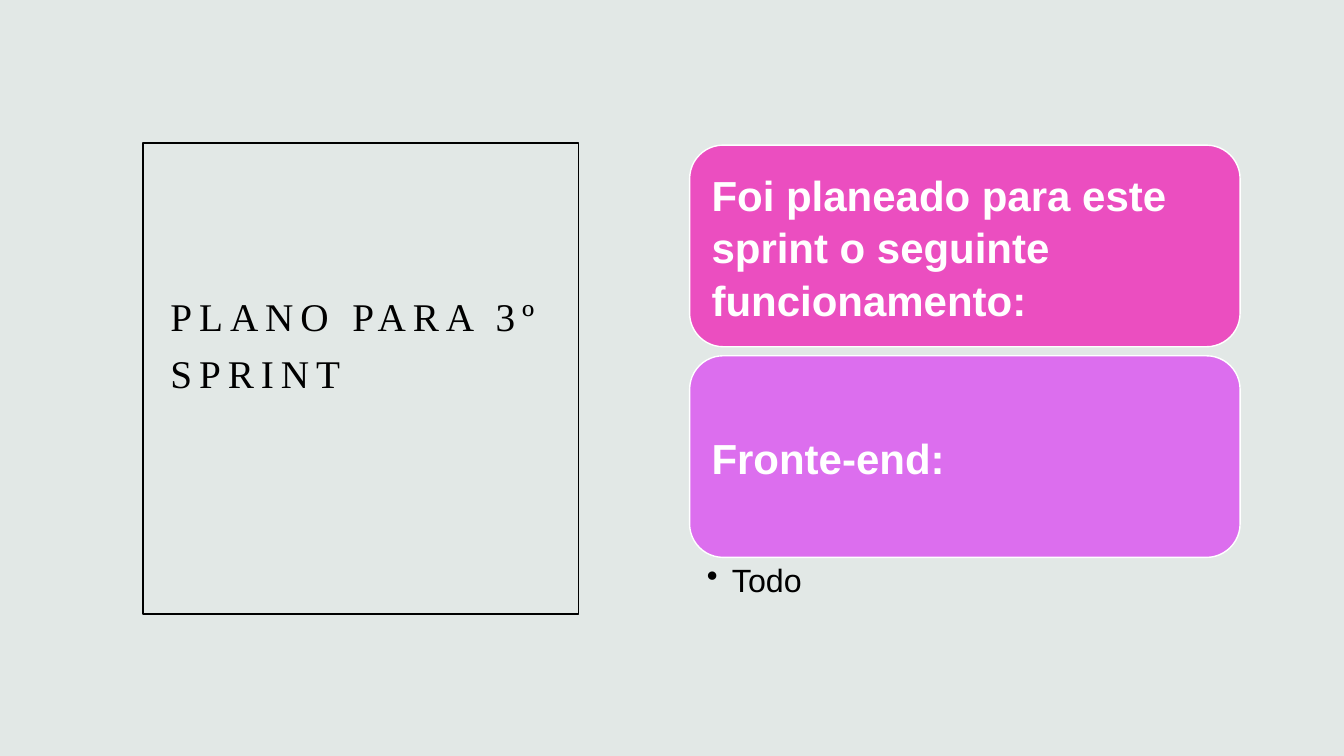
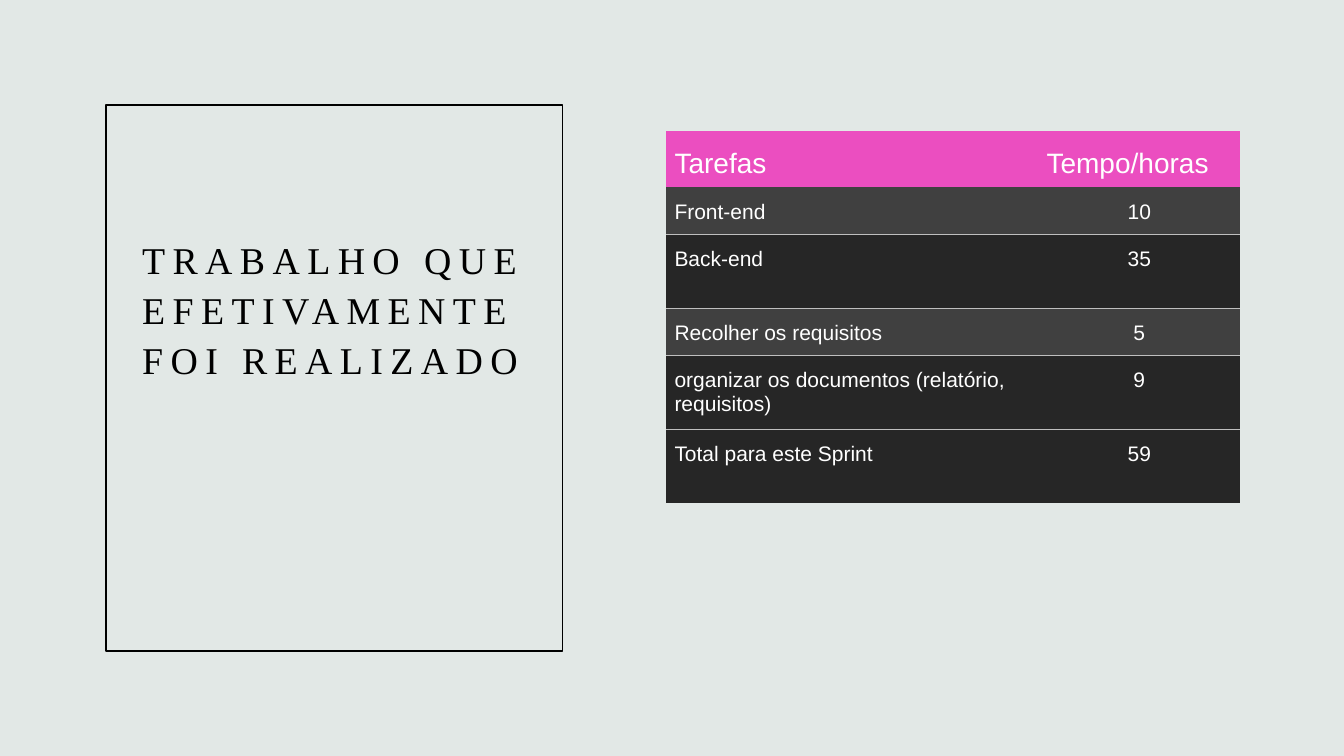
import lxml.etree
import pptx
import pptx.dml.color
import pptx.enum.shapes
import pptx.enum.text
import pptx.oxml.ns
import pptx.util

Inches = pptx.util.Inches
Points = pptx.util.Pt
RGBColor = pptx.dml.color.RGBColor
Align = pptx.enum.text.PP_ALIGN
Anchor = pptx.enum.text.MSO_ANCHOR
Shape = pptx.enum.shapes.MSO_SHAPE
qn = pptx.oxml.ns.qn

# Shared style
BACKGROUND = RGBColor(0xE2, 0xE8, 0xE6)
BLACK = RGBColor(0, 0, 0)
WHITE = RGBColor(0xFF, 0xFF, 0xFF)
PINK = RGBColor(0xEB, 0x4E, 0xC0)
VIOLET = RGBColor(0xDC, 0x6E, 0xEE)
GREY = RGBColor(0x40, 0x40, 0x40)
DARK = RGBColor(0x26, 0x26, 0x26)
RULE = RGBColor(0xBF, 0xBF, 0xBF)
TITLE_FONT = "Times New Roman"
BODY_FONT = "Arial"
PLAIN_TABLE_STYLE = "{2D5ABB26-0587-4C30-8999-92F81FD0307C}"


def write(frame, text, size, font=BODY_FONT, color=BLACK, bold=False,
          align=Align.LEFT, anchor=Anchor.TOP, line_spacing=None,
          letter_spacing=None, margins=None):
    """Put one formatted paragraph in a text frame or a table cell."""
    holder = frame
    if hasattr(frame, "text_frame"):
        frame = frame.text_frame
    frame.word_wrap = True
    holder.vertical_anchor = anchor
    if margins:
        (holder.margin_left, holder.margin_top,
         holder.margin_right, holder.margin_bottom) = map(Inches, margins)
    para = frame.paragraphs[0]
    para.alignment = align
    if line_spacing:
        para.line_spacing = line_spacing
    span = para.add_run()
    span.text = text
    span.font.name = font
    span.font.size = Points(size)
    span.font.bold = bold
    span.font.color.rgb = color
    if letter_spacing:
        span.font._element.set("spc", str(round(letter_spacing * 100)))
    return para


class SlideBuilder:
    def __init__(self):
        self.deck = pptx.Presentation()
        self.deck.slide_width = Inches(13.33)
        self.deck.slide_height = Inches(7.5)
        fill = self.deck.slide_master.background.fill
        fill.solid()
        fill.fore_color.rgb = BACKGROUND
        self.page = None

    def new_page(self):
        self.page = self.deck.slides.add_slide(self.deck.slide_layouts[5])

    def title(self, text, place, size, line_spacing, letter_spacing):
        box = self.page.shapes.title
        box.left, box.top, box.width, box.height = map(Inches, place)
        box.text_frame.auto_size = pptx.enum.text.MSO_AUTO_SIZE.NONE
        write(box.text_frame, text, size, font=TITLE_FONT, anchor=Anchor.MIDDLE,
              line_spacing=line_spacing, letter_spacing=letter_spacing)

    def box(self, kind, place, line, fill=None):
        box = self.page.shapes.add_shape(kind, *map(Inches, place))
        box.shadow.inherit = False
        box.line.color.rgb = line
        box.line.width = Points(1)
        if fill is None:
            box.fill.background()
        else:
            box.fill.solid()
            box.fill.fore_color.rgb = fill
        return box

    def frame(self, place):
        self.box(Shape.RECTANGLE, place, BLACK)

    def card(self, text, place, fill):
        box = self.box(Shape.ROUNDED_RECTANGLE, place, WHITE, fill)
        write(box.text_frame, text, 30, color=WHITE, bold=True,
              anchor=Anchor.MIDDLE, line_spacing=1.05, margins=[0.12] * 4)

    def bullet(self, text, place):
        box = self.page.shapes.add_textbox(*map(Inches, place))
        para = write(box.text_frame, text, 23, margins=(0.17, 0.04, 0.23, 0.04))
        properties = para._p.get_or_add_pPr()
        properties.set("marL", str(Inches(0.25)))
        properties.set("indent", str(-Inches(0.25)))
        mark = lxml.etree.SubElement(properties, qn("a:buChar"))
        mark.set("char", "•")

    def rule(self, cell, edge):
        """Draw a thin line on one edge of a cell (a:lnT or a:lnB)."""
        properties = cell._tc.get_or_add_tcPr()
        line = lxml.etree.Element(qn(edge), w=str(Points(1)))
        fill = lxml.etree.SubElement(line, qn("a:solidFill"))
        lxml.etree.SubElement(fill, qn("a:srgbClr"), val=str(RULE))
        borders = [child for child in properties if child.tag == qn("a:lnT")]
        properties.insert(len(borders), line)

    def table(self, place, widths, heights, rows, fills, ruled_rows):
        table = self.page.shapes.add_table(
            len(rows), len(widths), *map(Inches, place)).table
        table._tbl.tblPr.find(qn("a:tableStyleId")).text = PLAIN_TABLE_STYLE
        for column, width in zip(table.columns, widths):
            column.width = Inches(width)
        for row, height in zip(table.rows, heights):
            row.height = Inches(height)
        for r, values in enumerate(rows):
            header = r == 0
            for c, value in enumerate(values):
                cell = table.cell(r, c)
                write(cell, value, 20 if header else 15, color=WHITE,
                      align=Align.CENTER if c and not header else Align.LEFT,
                      anchor=Anchor.MIDDLE if header else Anchor.TOP,
                      margins=(0.08, 0.13, 0.08, 0.04))
                cell.fill.solid()
                cell.fill.fore_color.rgb = fills[r]
                if r - 1 in ruled_rows:
                    self.rule(cell, "a:lnT")
                if r in ruled_rows:
                    self.rule(cell, "a:lnB")


def main():
    builder = SlideBuilder()

    # Sprint plan
    builder.new_page()
    builder.frame((1.42, 1.42, 4.32, 4.67))
    builder.title("PLANO PARA 3º SPRINT", (1.59, 2.16, 3.97, 2.42), 28, 1.2, 5)
    cards = [("Foi planeado para este sprint o seguinte funcionamento:", PINK),
             ("Fronte-end:", VIOLET)]
    for index, (text, fill) in enumerate(cards):
        builder.card(text, (6.84, 1.44 + index * 2.09, 5.46, 2), fill)
    builder.bullet("Todo", (6.84, 5.52, 5.46, 0.54))

    # Work done
    builder.new_page()
    builder.frame((1.05, 1.04, 4.53, 5.42))
    builder.title("TRABALHO QUE EFETIVAMENTE FOI REALIZADO",
                  (1.31, 1.93, 4.01, 2.23), 27, 1.1, 5.3)
    builder.table(
        (6.61, 1.3, 5.69, 3.69),
        widths=[3.69, 2],
        heights=[0.56, 0.47, 0.73, 0.47, 0.73, 0.73],
        rows=[("Tarefas", "Tempo/horas"),
              ("Front-end", "10"),
              ("Back-end", "35"),
              ("Recolher os requisitos", "5"),
              ("organizar os documentos (relatório, requisitos)", "9"),
              ("Total para este Sprint", "59")],
        fills=[PINK, GREY, DARK, GREY, DARK, DARK],
        ruled_rows={1, 3, 4})

    builder.deck.save("out.pptx")


if __name__ == "__main__":
    main()
